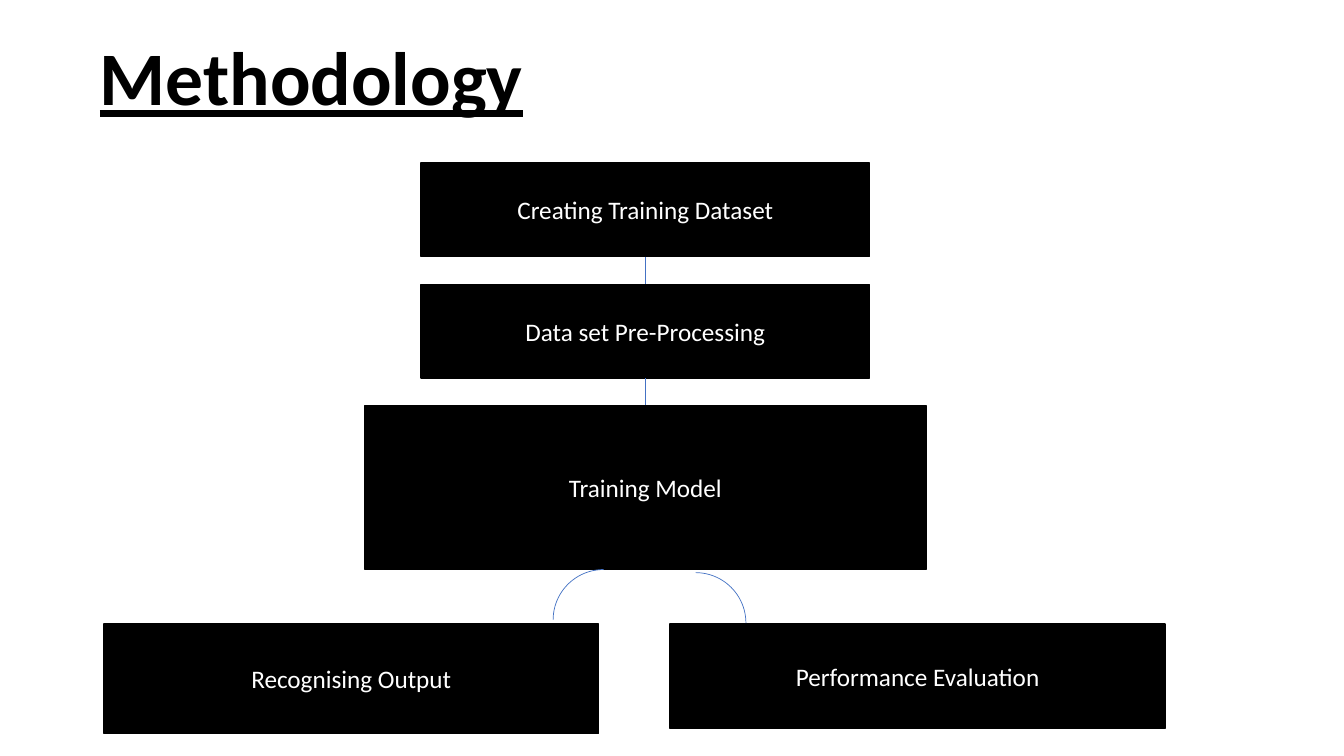
from dataclasses import dataclass

from lxml.etree import SubElement
from pptx import Presentation
from pptx.dml.color import RGBColor
from pptx.enum.shapes import MSO_CONNECTOR, MSO_SHAPE
from pptx.enum.text import MSO_ANCHOR, PP_ALIGN
from pptx.oxml.ns import qn
from pptx.util import Cm, Pt


@dataclass(frozen=True)
class Theme:
    """Colours, font and sizes of the slide."""
    font: str = "Calibri"
    ink: RGBColor = RGBColor(0, 0, 0)
    paper: RGBColor = RGBColor(255, 255, 255)
    link: RGBColor = RGBColor(0x44, 0x72, 0xC4)
    title_size: Pt = Pt(54)
    step_size: Pt = Pt(18)
    border: Pt = Pt(1)
    link_width: Pt = Pt(0.5)


THEME = Theme()


def add_run(p, text, size, color):
    """Add one centred run to a paragraph."""
    p.alignment = PP_ALIGN.CENTER
    r = p.add_run()
    r.text = text
    r.font.name = THEME.font
    r.font.size = size
    r.font.color.rgb = color
    return r


def add_title(s, text, left, top, width, height):
    """Place the underlined heading at the bottom of its box."""
    tf = s.shapes.add_textbox(Cm(left), Cm(top), Cm(width), Cm(height)).text_frame
    tf.word_wrap = True
    tf.vertical_anchor = MSO_ANCHOR.BOTTOM
    p = tf.paragraphs[0]
    p.line_spacing = 0.9
    r = add_run(p, text, THEME.title_size, THEME.ink)
    r.font.bold = True
    r.font.underline = True


def add_step(s, text, left, top, width, height):
    """Draw one labelled step of the flow."""
    sp = s.shapes.add_shape(MSO_SHAPE.RECTANGLE, Cm(left), Cm(top), Cm(width), Cm(height))
    sp.shadow.inherit = False
    sp.fill.solid()
    sp.fill.fore_color.rgb = THEME.ink
    sp.line.color.rgb = THEME.ink
    sp.line.width = THEME.border
    tf = sp.text_frame
    tf.word_wrap = True
    tf.vertical_anchor = MSO_ANCHOR.MIDDLE
    add_run(tf.paragraphs[0], text, THEME.step_size, THEME.paper)


def style_link(sp):
    """Give a line or arc the thin link stroke."""
    sp.line.color.rgb = THEME.link
    sp.line.width = THEME.link_width


def add_link(s, x, top, bottom):
    """Join two stacked steps with a vertical line."""
    cxn = s.shapes.add_connector(MSO_CONNECTOR.STRAIGHT, Cm(x), Cm(top), Cm(x), Cm(bottom))
    style_link(cxn)
    SubElement(cxn._element.spPr, qn("a:effectLst"))


def add_arc(s, left, top, size, rotation):
    """Draw a quarter arc leading to a branch."""
    sp = s.shapes.add_shape(MSO_SHAPE.ARC, Cm(left), Cm(top), Cm(size), Cm(size))
    sp.shadow.inherit = False
    sp.fill.background()
    sp.rotation = rotation
    style_link(sp)


def add_stack(s, steps, left, top, width, gap):
    """Stack centred steps with links between them and return the bottom."""
    center = left + width / 2
    y = top
    for i, (text, step_width, height) in enumerate(steps):
        if i:
            add_link(s, center, y, y + gap)
            y += gap
        add_step(s, text, center - step_width / 2, y, step_width, height)
        y += height
    return y


def add_branches(s, branches, left, top, width, gap):
    """Place the closing steps side by side."""
    step_width = (width - gap) / len(branches)
    for i, (text, height) in enumerate(branches):
        add_step(s, text, left + i * (step_width + gap), top, step_width, height)


def main():
    """Build the methodology slide."""
    prs = Presentation()
    prs.slide_width, prs.slide_height = Cm(33.87), Cm(19.05)
    s = prs.slides.add_slide(prs.slide_layouts[6])
    add_title(s, "Methodology", 1.35, 0.84, 13, 2.36)
    steps = [
        ("Creating Training Dataset", 11.3, 2.36),
        ("Data set Pre-Processing", 11.3, 2.36),
        ("Training Model", 14.17, 4.11),
    ]
    bottom = add_stack(s, steps, 9.18, 4.11, 14.17, 0.7)
    branches = [("Recognising Output", 2.77), ("Performance Evaluation", 2.64)]
    add_branches(s, branches, 2.62, 15.72, 26.74, 1.8)
    add_arc(s, 16.26, bottom + 0.09, 2.54, 0)
    add_arc(s, 13.94, bottom + 0.01, 2.54, 270)
    prs.save("out.pptx")


if __name__ == "__main__":
    main()
